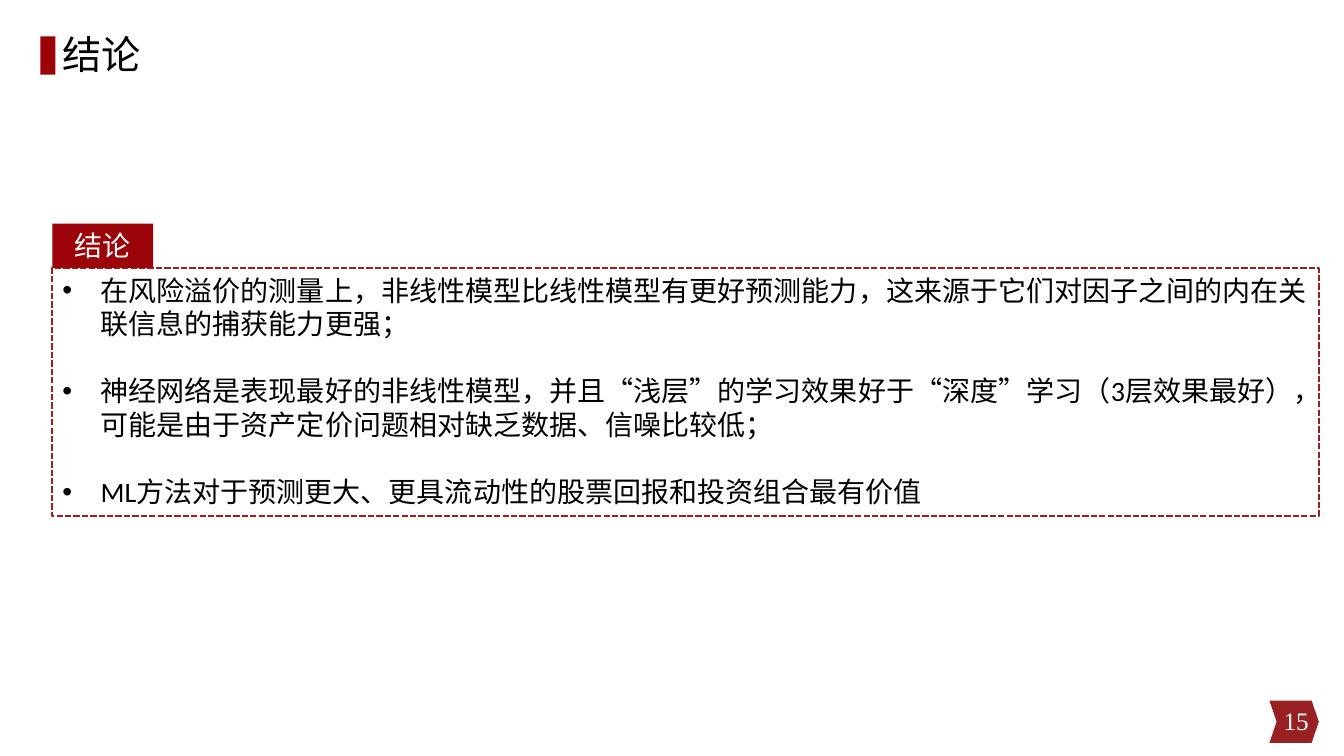
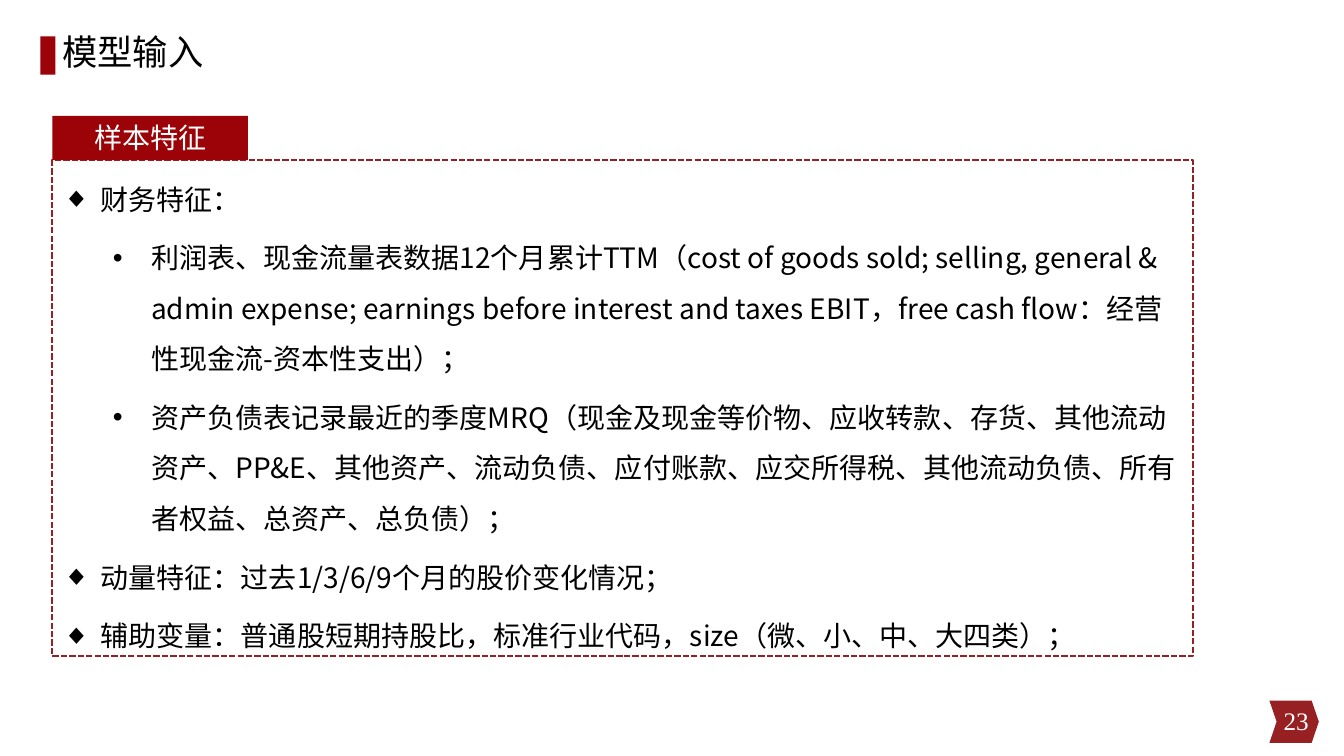
from dataclasses import dataclass

from pptx import Presentation
from pptx.dml.color import RGBColor as Rgb
from pptx.enum.dml import MSO_LINE as Dash
from pptx.enum.shapes import MSO_SHAPE as Geo
from pptx.enum.text import MSO_ANCHOR as Anchor, PP_ALIGN as Align
from pptx.oxml.ns import qn
from pptx.shapes.base import BaseShape
from pptx.slide import Slide
from pptx.text.text import TextFrame, _Paragraph as Para
from pptx.util import Emu, Pt
from lxml.etree import SubElement as Sub


@dataclass(frozen=True)
class Theme:
    """Colours, fonts and type sizes of the deck."""

    red: Rgb = Rgb(0x9C, 0x03, 0x08)
    wine: Rgb = Rgb(0x97, 0x20, 0x22)
    black: Rgb = Rgb(0, 0, 0)
    white: Rgb = Rgb(255, 255, 255)
    sans: str = "Noto Sans CJK SC"
    plain: str = "Calibri"
    serif: str = "Times New Roman"
    body: float = 20
    page: float = 18
    rule: float = 1.5


@dataclass(frozen=True)
class Box:
    """A rectangle in px, 100 to the inch."""

    x: int
    y: int
    w: int
    h: int


@dataclass(frozen=True)
class Item:
    """One bulleted paragraph."""

    text: str
    mark: str = "•"
    level: int = 0


@dataclass(frozen=True)
class Style:
    """The face and spacing of a panel's text."""

    face: str
    line: float = 1.0
    before: float = 0
    after: float = 0


@dataclass(frozen=True)
class Page:
    """A titled slide with one tabbed panel."""

    num: int
    title: str
    size: float
    head: Box
    tab: str
    face: str
    width: int
    panel: Box
    style: Style
    items: tuple[Item, ...]


THEME = Theme()
INDENT = 38
STEP = 50
TAB = 44
BAR = Box(40, 36, 15, 38)
FLAG = Box(1259, 695, 49, 42)
FOOT = Box(1008, 695, 300, 40)

PAGES = (
    Page(
        15, "结论", 28, Box(52, -2, 1131, 117), "结论", THEME.plain, 100,
        Box(52, 266, 1256, 246), Style(THEME.plain, before=24),
        (
            Item("在风险溢价的测量上，非线性模型比线性模型有更好预测能力，"
                 "这来源于它们对因子之间的内在关联信息的捕获能力更强；"),
            Item("神经网络是表现最好的非线性模型，并且“浅层”的学习效果好于“深度”学习"
                 "（3层效果最好），可能是由于资产定价问题相对缺乏数据、信噪比较低；"),
            Item("ML方法对于预测更大、更具流动性的股票回报和投资组合最有价值"),
        ),
    ),
    Page(
        23, "模型输入", 25.2, Box(52, 32, 1096, 44), "样本特征", THEME.serif, 194,
        Box(52, 159, 1131, 492), Style(THEME.sans, line=1.5, after=6),
        (
            Item("财务特征：", "◆"),
            Item("利润表、现金流量表数据12个月累计TTM（cost of goods sold; selling, "
                 "general & admin expense; earnings before interest and taxes EBIT，"
                 "free cash flow：经营性现金流-资本性支出）；", level=1),
            Item("资产负债表记录最近的季度MRQ（现金及现金等价物、应收转款、存货、"
                 "其他流动资产、PP&E、其他资产、流动负债、应付账款、应交所得税、"
                 "其他流动负债、所有者权益、总资产、总负债）；", level=1),
            Item("动量特征：过去1/3/6/9个月的股价变化情况；", "◆"),
            Item("辅助变量：普通股短期持股比，标准行业代码，size（微、小、中、大四类）；", "◆"),
        ),
    ),
)


def px(n: int) -> Emu:
    """Turn px into EMU."""
    return Emu(n * 9144)


def place(box: Box) -> tuple[Emu, Emu, Emu, Emu]:
    """Give a box as left, top, width and height."""
    return px(box.x), px(box.y), px(box.w), px(box.h)


def write(para: Para, text: str, face: str, size: float, color: Rgb) -> None:
    """Add one run, with the sans face for Chinese."""
    run = para.add_run()
    run.text = text
    run.font.name = face
    run.font.size = Pt(size)
    run.font.color.rgb = color
    Sub(run.font._element, qn("a:ea")).set("typeface", THEME.sans)


def shape(slide: Slide, box: Box, fill: Rgb | None, geo: Geo = Geo.RECTANGLE) -> BaseShape:
    """Add a flat shape with no outline."""
    form = slide.shapes.add_shape(geo, *place(box))
    form.shadow.inherit = False
    form.line.fill.background()
    if fill is None:
        form.fill.background()
    else:
        form.fill.solid()
        form.fill.fore_color.rgb = fill
    return form


def label(slide: Slide, box: Box) -> TextFrame:
    """Add a wrapped text box centred on its height."""
    frame = slide.shapes.add_textbox(*place(box)).text_frame
    frame.word_wrap = True
    frame.vertical_anchor = Anchor.MIDDLE
    return frame


def bullet(para: Para, item: Item) -> None:
    """Set the hanging indent and the bullet mark."""
    props = para._p.get_or_add_pPr()
    props.set("marL", str(px(INDENT + STEP * item.level)))
    props.set("indent", str(px(-INDENT)))
    Sub(props, qn("a:buFont")).set("typeface", "Arial")
    Sub(props, qn("a:buChar")).set("char", item.mark)
    para.level = item.level


def frame(slide: Slide, page: Page) -> None:
    """Draw the common marks, title and page number."""
    flag = shape(slide, FLAG, THEME.wine, Geo.CHEVRON)
    flag.adjustments[0] = 0.17
    shape(slide, BAR, THEME.red)
    title = label(slide, page.head).paragraphs[0]
    title.line_spacing = 0.9
    write(title, page.title, THEME.sans, page.size, THEME.black)
    foot = label(slide, FOOT).paragraphs[0]
    foot.alignment = Align.RIGHT
    write(foot, str(page.num), THEME.serif, THEME.page, THEME.white)


def panel(slide: Slide, page: Page) -> None:
    """Draw the dashed panel with its bullets and tab."""
    form = shape(slide, page.panel, None)
    form.line.color.rgb = THEME.wine
    form.line.width = Pt(THEME.rule)
    form.line.dash_style = Dash.SQUARE_DOT
    body = form.text_frame
    body.word_wrap = True
    body.vertical_anchor = Anchor.TOP
    style = page.style
    for i, item in enumerate(page.items):
        para = body.add_paragraph() if i else body.paragraphs[0]
        bullet(para, item)
        para.alignment = Align.LEFT
        para.line_spacing = style.line
        para.space_before = Pt(style.before if i else 0)
        para.space_after = Pt(style.after)
        write(para, item.text, style.face, THEME.body, THEME.black)
    box = Box(page.panel.x, page.panel.y - TAB, page.width, TAB)
    tab = shape(slide, box, THEME.red).text_frame
    tab.vertical_anchor = Anchor.TOP
    para = tab.paragraphs[0]
    para.alignment = Align.CENTER
    write(para, page.tab, page.face, THEME.body, THEME.white)


def main() -> None:
    """Build the deck and save it."""
    deck = Presentation()
    deck.slide_width, deck.slide_height = px(1333), px(750)
    for page in PAGES:
        slide = deck.slides.add_slide(deck.slide_layouts[6])
        frame(slide, page)
        panel(slide, page)
    deck.save("out.pptx")


if __name__ == "__main__":
    main()
